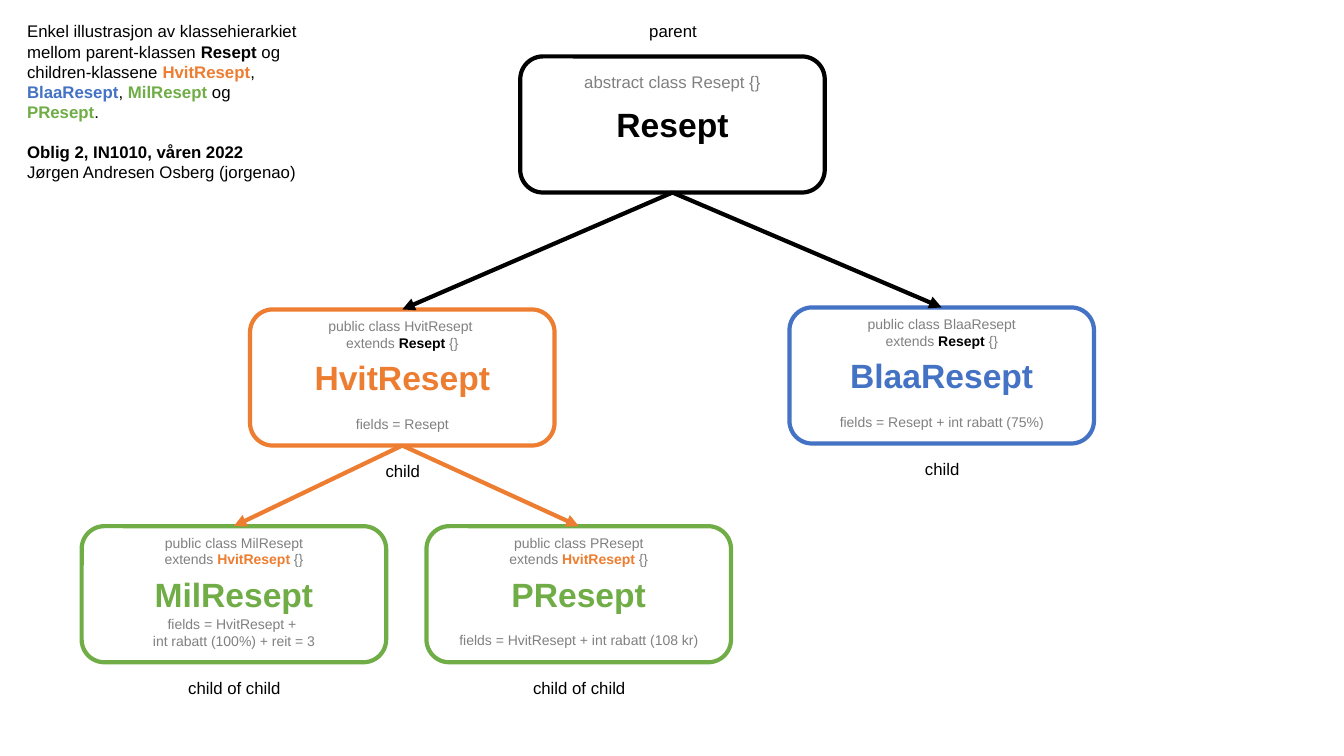
"""Builds a slide with the class hierarchy of Resept."""
from lxml import etree
from pptx import Presentation
from pptx.dml.color import RGBColor
from pptx.enum.shapes import MSO_CONNECTOR as Link, MSO_SHAPE as Shape
from pptx.enum.text import MSO_ANCHOR as Anchor, MSO_AUTO_SIZE as Auto, PP_ALIGN as Align
from pptx.oxml.ns import qn
from pptx.util import Inches, Pt

HUES = {"black": "000000", "grey": "808080", "orange": "ED7D31",
        "blue": "4472C4", "green": "70AD47"}
WIDE, HIGH = 3.02, 1.35


def color(name):
    return RGBColor.from_string(HUES[name])


def write(frame, *paras, size=12, hue="black", bold=False, align=Align.CENTER):
    frame.word_wrap = True
    for i, runs in enumerate(paras):
        para = frame.paragraphs[0] if i == 0 else frame.add_paragraph()
        para.alignment = align
        for part in [runs] if isinstance(runs, str) else runs:
            text, tint, heavy = (part, hue, bold) if isinstance(part, str) else (*part, True)
            run = para.add_run()
            run.text = text
            run.font.name, run.font.size, run.font.bold = "Arial", Pt(size), heavy
            run.font.color.rgb = color(tint)


deck = Presentation()
deck.slide_width, deck.slide_height = Inches(13.33), Inches(7.5)
slide = deck.slides.add_slide(deck.slide_layouts[6])

black, orange = ("Resept", "black"), ("HvitResept", "orange")
nodes = [
    ("Resept", 5.16, 0.56, "black", ["abstract class Resept {}"], [], "parent"),
    ("HvitResept", 2.48, 3.07, "orange",
     ["public class HvitResept ", ["extends ", black, " {}"]],
     ["fields = Resept"], "child"),
    ("BlaaResept", 7.83, 3.05, "blue",
     ["public class BlaaResept", ["extends ", black, " {}"]],
     ["fields = Resept + int rabatt (75%)"], "child"),
    ("MilResept", 0.81, 5.22, "green",
     ["public class MilResept", ["extends ", orange, " {}"]],
     ["fields = HvitResept + ", "int rabatt (100%) + reit = 3"], "child of child"),
    ("PResept", 4.23, 5.22, "green",
     ["public class PResept", ["extends ", orange, " {}"]],
     ["fields = HvitResept + int rabatt (108 kr)"], "child of child"),
]

spots = {}
for name, left, top, hue, head, foot, role in nodes:
    root = role == "parent"
    spots[name] = left + WIDE / 2, top
    box = slide.shapes.add_shape(Shape.ROUNDED_RECTANGLE, Inches(left), Inches(top),
                                 Inches(WIDE), Inches(HIGH))
    box.shadow.inherit = False
    box.fill.background()
    box.line.color.rgb, box.line.width = color(hue), Pt(3)
    box.text_frame.vertical_anchor = Anchor.MIDDLE
    write(box.text_frame, name, size=24, hue=hue, bold=True)

    notes = [(head, 0.1 if root else 0.03), (foot, 1.0 if len(foot) == 1 else 0.84)]
    for lines, drop in notes:
        if lines:
            text = slide.shapes.add_textbox(Inches(left), Inches(top + drop), Inches(WIDE),
                                            Inches(0.1 + 0.17 * len(lines)))
            write(text.text_frame, *lines, size=12 if root else 10, hue="grey")
            text.text_frame.auto_size = Auto.SHAPE_TO_FIT_TEXT

    label = slide.shapes.add_textbox(Inches(left + 0.91), Inches(top + (-0.4 if root else 1.45)),
                                     Inches(1.21), Inches(0.3))
    write(label.text_frame, role)
    label.text_frame.auto_size = Auto.SHAPE_TO_FIT_TEXT

links = [("Resept", "HvitResept", "black"), ("Resept", "BlaaResept", "black"),
         ("HvitResept", "MilResept", "orange"), ("HvitResept", "PResept", "orange")]
for start, end, hue in links:
    (x1, y1), (x2, y2) = spots[start], spots[end]
    arrow = slide.shapes.add_connector(Link.STRAIGHT, Inches(x1), Inches(y1 + HIGH),
                                       Inches(x2), Inches(y2))
    arrow.line.color.rgb, arrow.line.width = color(hue), Pt(3)
    shell = arrow._element.spPr
    etree.SubElement(shell.find(qn("a:ln")), qn("a:tailEnd"), type="triangle")
    etree.SubElement(shell, qn("a:effectLst"))

intro = slide.shapes.add_textbox(Inches(0.17), Inches(0.16), Inches(2.88), Inches(1.72))
write(intro.text_frame,
      ["Enkel illustrasjon av klassehierarkiet mellom parent-klassen ", black,
       " og children-klassene ", orange, ", ", ("BlaaResept", "blue"), ", ",
       ("MilResept", "green"), " og ", ("PResept", "green"), "."],
      [("Oblig 2, IN1010, våren 2022", "black")],
      "Jørgen Andresen Osberg (jorgenao)", align=Align.LEFT)
intro.text_frame.paragraphs[1].space_before = Pt(14)
intro.text_frame.auto_size = Auto.SHAPE_TO_FIT_TEXT

deck.save("out.pptx")
